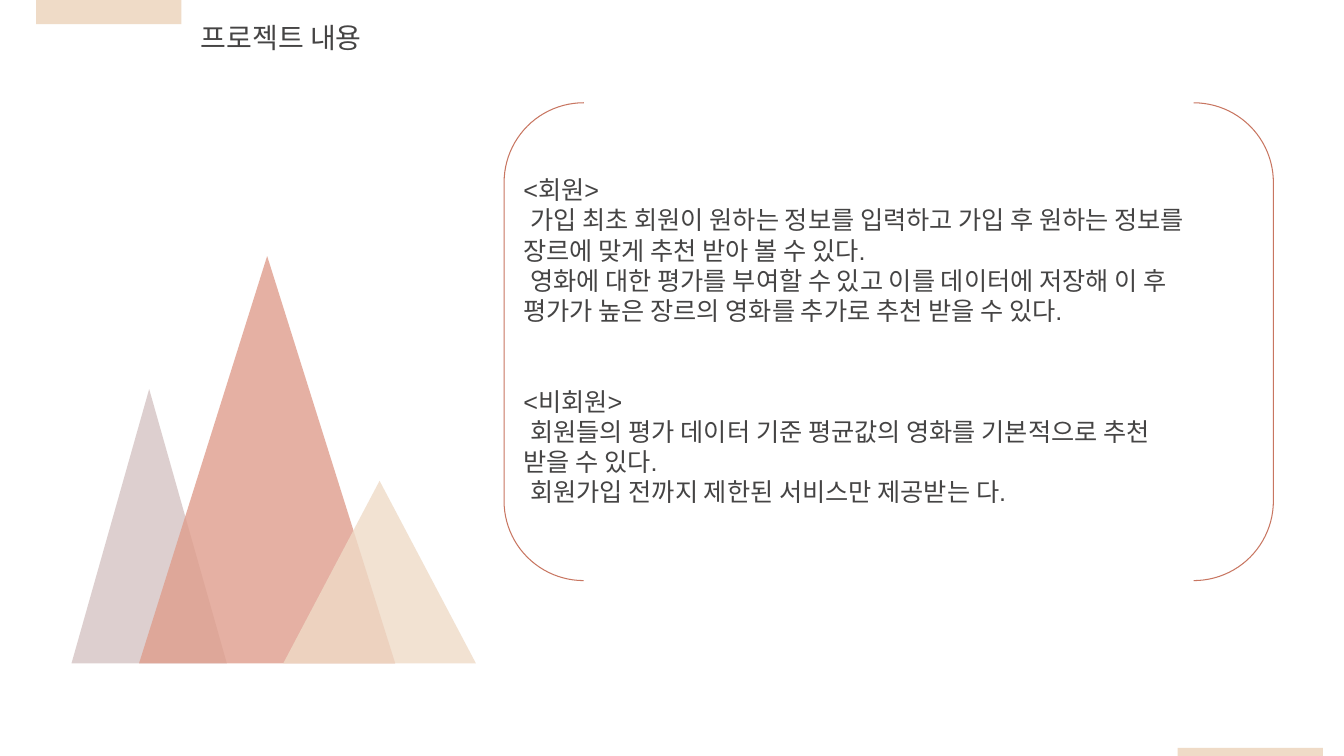
from lxml.etree import SubElement as Sub
from pptx import Presentation
from pptx.dml.color import RGBColor as Rgb
from pptx.enum.shapes import MSO_SHAPE as Kind
from pptx.enum.text import MSO_ANCHOR as Anchor, MSO_AUTO_SIZE as Fit, PP_ALIGN as Align
from pptx.oxml.ns import qn
from pptx.util import Inches, Pt

HUES = {
    "ink": "454444",
    "sand": "EFDBC7",
    "mauve": "D5C4C4",
    "coral": "DF9D8C",
    "rust": "C87661",
}

BARS = [(0.36, 0, 1.44, 0.24), (11.68, 7.42, 1.44, 0.08)]
BASE = 6.58
PEAKS = [
    ("mauve", 0.71, 1.54, 2.72),
    ("coral", 1.38, 2.54, 4.04),
    ("sand", 2.81, 1.91, 1.81),
]

STEP = 0.07
LINES = [
    ("<회원>", 0, 0),
    ("가입 최초 회원이 원하는 정보를 입력하고 가입 후 원하는 정보를", STEP, 0),
    ("장르에 맞게 추천 받아 볼 수 있다.", 0, 0),
    ("영화에 대한 평가를 부여할 수 있고 이를 데이터에 저장해 이 후", STEP, 0),
    ("평가가 높은 장르의 영화를 추가로 추천 받을 수 있다.", 0, 0),
    ("<비회원>", 0, 43.2),
    ("회원들의 평가 데이터 기준 평균값의 영화를 기본적으로 추천", STEP, 0),
    ("받을 수 있다.", 0, 0),
    ("회원가입 전까지 제한된 서비스만 제공받는 다.", STEP, 0),
]


class Deck:
    font = "Arial"

    def __init__(self):
        self.show = Presentation()
        self.show.slide_width = Inches(13.33)
        self.show.slide_height = Inches(7.5)
        self.slide = self.show.slides.add_slide(self.show.slide_layouts[1])

    def hue(self, name):
        return Rgb.from_string(HUES[name])

    def text(self, spot, box, size, lines):
        hold = self.slide.placeholders[spot]
        hold.left, hold.top, hold.width, hold.height = map(Inches, box)
        frame = hold.text_frame
        frame.text = "\n".join(line for line, _, _ in lines)
        frame.word_wrap = True
        frame.auto_size = Fit.NONE
        frame.vertical_anchor = Anchor.TOP
        for para, (_, dent, gap) in zip(frame.paragraphs, lines):
            para.alignment = Align.LEFT
            para.line_spacing = 1.0
            para.space_before = Pt(gap)
            para.space_after = Pt(0)
            props = para._p.get_or_add_pPr()
            props.set("marL", "0")
            props.set("indent", str(Inches(dent)))
            Sub(props, qn("a:buNone"))
            for run in para.runs:
                run.font.name = self.font
                run.font.size = Pt(size)
                run.font.color.rgb = self.hue("ink")

    def shape(self, kind, box, fill=None, line=None, alpha=None, home=None):
        home = home or self.slide.shapes
        item = home.add_shape(kind, *map(Inches, box))
        item.shadow.inherit = False
        if fill:
            item.fill.solid()
            item.fill.fore_color.rgb = self.hue(fill)
        else:
            item.fill.background()
        if line:
            item.line.color.rgb = self.hue(line)
            item.line.width = Pt(0.75)
        else:
            item.line.fill.background()
        if alpha:
            tint = item._element.spPr.find(qn("a:solidFill"))[0]
            Sub(tint, qn("a:alpha")).set("val", str(alpha * 1000))

    def peaks(self):
        group = self.slide.shapes.add_group_shape()
        for fill, left, wide, high in PEAKS:
            box = (left, BASE - high, wide, high)
            self.shape(Kind.ISOSCELES_TRIANGLE, box, fill, alpha=80, home=group.shapes)


def main():
    deck = Deck()
    deck.text(0, (1.89, 0.15, 3.61, 0.44), 20, [("프로젝트 내용", 0, 0)])
    deck.text(1, (5.09, 1.68, 7.41, 3.43), 18, LINES)
    for bar in BARS:
        deck.shape(Kind.RECTANGLE, bar, "sand")
    deck.peaks()
    deck.shape(Kind.DOUBLE_BRACKET, (5, 1.02, 7.63, 4.74), line="rust")
    deck.show.save("out.pptx")


if __name__ == "__main__":
    main()
